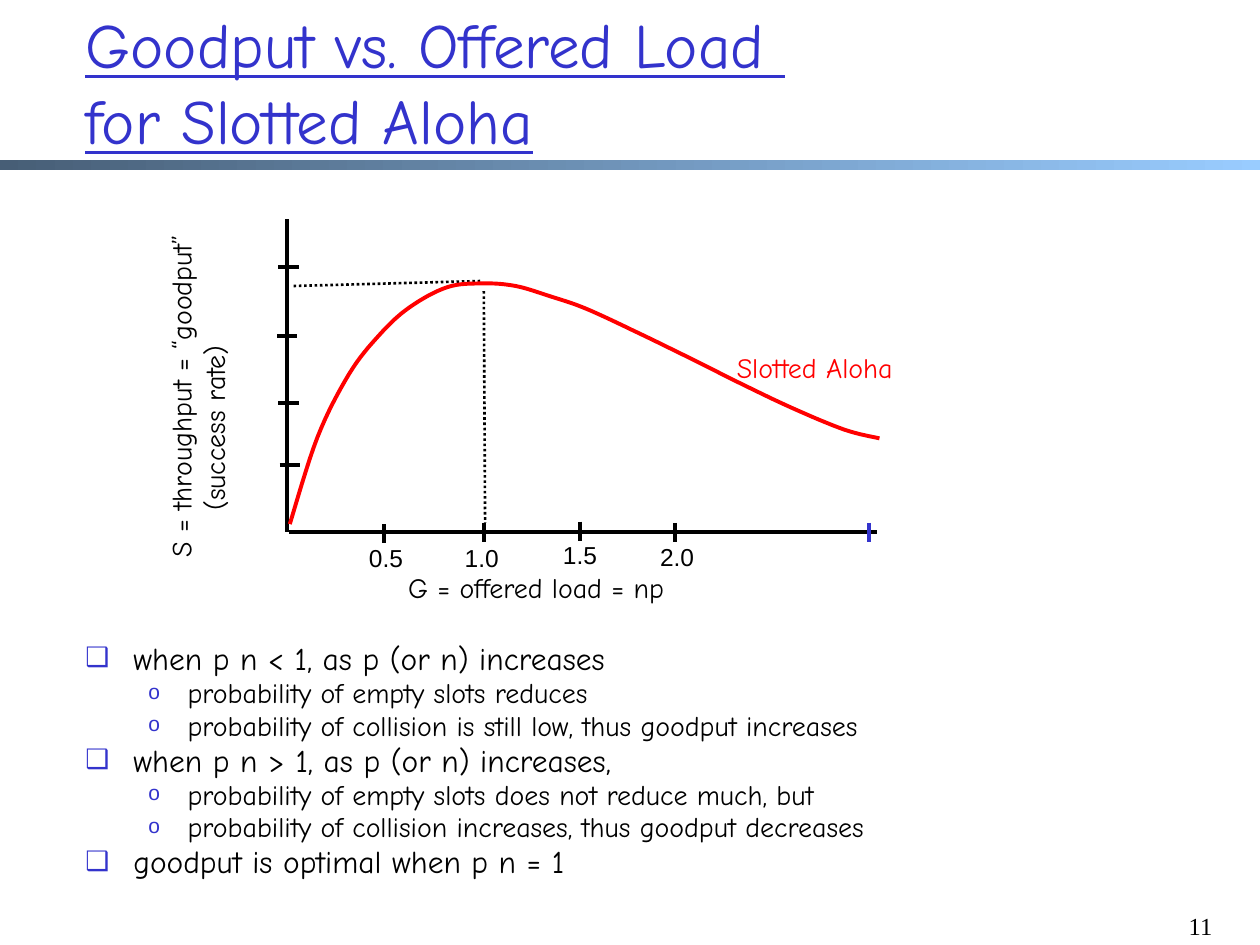
"""Build the slide on goodput against offered load for Slotted Aloha."""
from lxml.etree import SubElement
from pptx import Presentation
from pptx.dml.color import RGBColor
from pptx.enum.dml import MSO_LINE_DASH_STYLE as Dash
from pptx.enum.shapes import MSO_CONNECTOR as Connector, MSO_SHAPE as Shape
from pptx.enum.text import MSO_ANCHOR as Anchor, PP_ALIGN as Align
from pptx.oxml.ns import qn
from pptx.util import Inches, Pt

BLUE, BLACK, RED = "3333CC", "000000", "FF0000"


def color(value):
    return RGBColor.from_string(value)


def add_text(text, left, top, width, height, size=16, font="Comic Neue", ink=BLACK,
             underline=None, align=Align.LEFT, anchor=Anchor.TOP, wrap=True, rotation=0):
    box = slide.shapes.add_textbox(Inches(left), Inches(top), Inches(width), Inches(height))
    box.rotation = rotation
    frame = box.text_frame
    frame.word_wrap = wrap
    frame.vertical_anchor = anchor
    frame.text = text
    for paragraph in frame.paragraphs:
        paragraph.alignment = align
        for run in paragraph.runs:
            run.font.name = font
            run.font.size = Pt(size)
            run.font.underline = underline
            run.font.color.rgb = color(ink)
    return frame.paragraphs


prs = Presentation()
prs.slide_width, prs.slide_height = Inches(10), Inches(7.5)
slide = prs.slides.add_slide(prs.slide_layouts[6])

divider = slide.shapes.add_shape(Shape.RECTANGLE, 0, Inches(1.27), Inches(10), Inches(0.08))
divider.shadow.inherit = False
divider.line.fill.background()
divider.fill.gradient()
divider.fill.gradient_angle = 0
for stop, shade in zip(divider.fill.gradient_stops, ("475E76", "99CCFF")):
    stop.color.rgb = color(shade)

add_text("11", 9.25, 7.18, 0.47, 0.32, size=14, font="Times New Roman", align=Align.RIGHT)
add_text("Goodput vs. Offered Load \vfor Slotted Aloha", 0.58, 0.02, 8.78, 1.25,
         size=36, ink=BLUE, underline=True, anchor=Anchor.MIDDLE)

y_title = add_text("S = throughput = “goodput”\n(success rate)",
                   -0.06, 2.57, 3.26, 0.64, rotation=270)
y_title[1]._p.get_or_add_pPr().set("marL", str(Inches(0.37)))
add_text("G = offered load = np", 3.14, 4.48, 2.39, 0.37, wrap=False)
for label, left, top in (("0.5", 2.83, 4.26), ("1.0", 3.59, 4.26),
                         ("1.5", 4.37, 4.24), ("2.0", 5.14, 4.25)):
    add_text(label, left, top, 0.47, 0.33, size=14, font="Arial", wrap=False)
add_text("Slotted Aloha", 5.75, 2.73, 1.64, 0.37, ink=RED, wrap=False)

axes = [(2.29, 4.22, 6.96, 4.22), (2.28, 4.22, 2.28, 1.74)]
x_ticks = [(x, y, x, y + 0.15) for x, y in ((3.05, 4.16), (3.84, 4.15), (4.6, 4.14), (5.36, 4.15))]
y_ticks = [(x, y, x + 0.16, y) for x, y in ((2.21, 2.12), (2.2, 2.67), (2.21, 3.2), (2.22, 3.69))]
end_tick = (6.9, 4.15, 6.9, 4.3)
peak_guides = [(3.84, 2.31, 3.85, 4.15), (2.33, 2.27, 3.83, 2.23)]
for ends in axes + x_ticks + y_ticks + [end_tick] + peak_guides:
    stroke = slide.shapes.add_connector(Connector.STRAIGHT, *map(Inches, ends))
    stroke.line.color.rgb = color(BLUE if ends == end_tick else BLACK)
    stroke.line.width = Pt(2.25)
    if ends in peak_guides:
        stroke.line.width = Pt(1.5)
        stroke.line.dash_style = Dash.ROUND_DOT
    SubElement(stroke._element.spPr, qn("a:effectLst"))

knots = [(2.3, 4.16), (2.52, 3.47), (2.77, 2.97), (3.01, 2.66), (3.25, 2.44), (3.55, 2.28),
         (3.83, 2.25), (4.09, 2.27), (4.36, 2.35), (4.65, 2.45), (5.06, 2.64), (5.49, 2.85),
         (5.89, 3.05), (6.29, 3.24), (6.7, 3.41), (6.98, 3.48)]
padded = [knots[0]] + knots + [knots[-1]]
STEPS = 8
curve_points = []
for quad in zip(padded, padded[1:], padded[2:], padded[3:]):
    for step in range(1, STEPS + 1):
        t = step / STEPS
        curve_points.append(tuple(
            Inches(b + (c - a) * t / 2 + (2 * a - 5 * b + 4 * c - d) * t ** 2 / 2
                   + (3 * b - a - 3 * c + d) * t ** 3 / 2)
            for a, b, c, d in zip(*quad)))
builder = slide.shapes.build_freeform(*map(Inches, knots[0]))
builder.add_line_segments(curve_points, close=False)
goodput_curve = builder.convert_to_shape()
goodput_curve.shadow.inherit = False
goodput_curve.fill.background()
goodput_curve.line.color.rgb = color(RED)
goodput_curve.line.width = Pt(2.25)

findings = [
    (0, "when p n < 1, as p (or n) increases"),
    (1, "probability of empty slots reduces"),
    (1, "probability of collision is still low, thus goodput increases"),
    (0, "when p n > 1, as p (or n) increases,"),
    (1, "probability of empty slots does not reduce much, but"),
    (1, "probability of collision increases, thus goodput decreases"),
    (0, "goodput is optimal when p n = 1"),
]
level_styles = [(18, 0.38, 0.38, "❑", 85), (16, 0.81, 0.31, "o", 75)]
paragraphs = add_text("\n".join(line for _, line in findings), 0.58, 5.08, 8.91, 2.25)
for index, (paragraph, (level, _)) in enumerate(zip(paragraphs, findings)):
    size, margin, hanging, bullet, percent = level_styles[level]
    paragraph.level = level
    paragraph.line_spacing = 0.8
    paragraph.space_before = Pt(size * 0.2 if index else 0)
    paragraph.runs[0].font.size = Pt(size)
    props = paragraph._p.get_or_add_pPr()
    props.set("marL", str(Inches(margin)))
    props.set("indent", str(-Inches(hanging)))
    SubElement(SubElement(props, qn("a:buClr")), qn("a:srgbClr"), val=BLUE)
    SubElement(props, qn("a:buSzPct"), val=str(percent * 1000))
    SubElement(props, qn("a:buFont"), typeface="Arial")
    SubElement(props, qn("a:buChar"), char=bullet)

prs.save("out.pptx")
